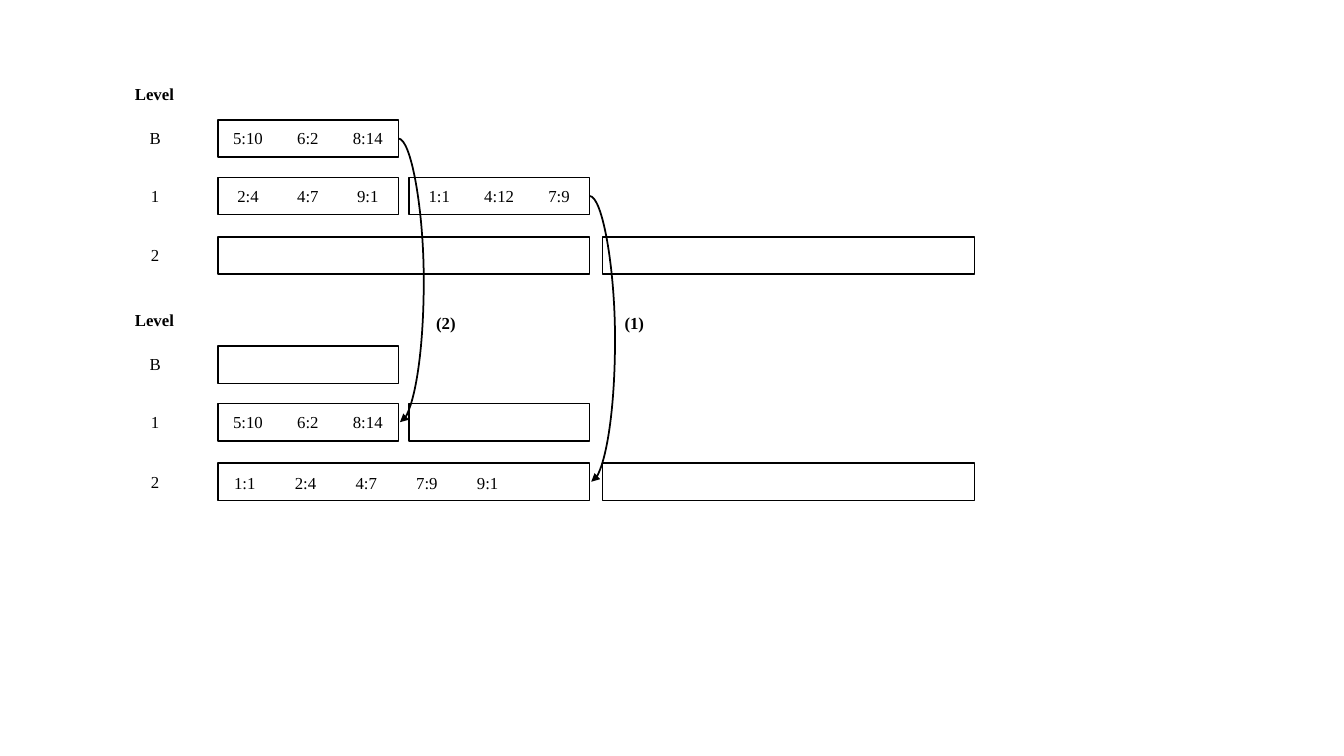
from lxml.etree import SubElement
from pptx import Presentation
from pptx.dml.color import RGBColor
from pptx.enum.shapes import MSO_CONNECTOR as Connector, MSO_SHAPE as Shape
from pptx.enum.text import MSO_AUTO_SIZE as AutoSize, PP_ALIGN as Align
from pptx.oxml.ns import qn
from pptx.util import Cm, Pt

FONT = "Times New Roman"
BLACK = "000000"
LEVELS = ("B", "1", "2")
LEVEL_OFFSETS = (1.04, 2.49, 3.99)
BEFORE_TOP, AFTER_TOP = 1.98, 7.68
LABEL_LEFT, LABEL_WIDTH, LABEL_HEIGHT = 3.15, 1.52, 0.77
RUN_LEFT, RUN_HEIGHT = 5.49, 0.94
SMALL_WIDTH, LARGE_WIDTH = 4.55, 9.37
SECOND_SMALL_LEFT, SECOND_LARGE_LEFT = 10.31, 15.19
TEXT_INSET = 0.08
ARROW_SPAN, ARROW_BULGE = 0.04, 0.64


def color(hex_code):
    """Turn a hex string into a colour."""
    return RGBColor.from_string(hex_code)


def add_label(shapes, left, top, text, width=LABEL_WIDTH, heading=False):
    """Add a centred label, or a bold left-aligned heading."""
    label = shapes.add_textbox(Cm(left), Cm(top), Cm(width), Cm(LABEL_HEIGHT))
    frame = label.text_frame
    frame.word_wrap = not heading
    frame.auto_size = AutoSize.SHAPE_TO_FIT_TEXT
    paragraph = frame.paragraphs[0]
    paragraph.text = text
    paragraph.alignment = Align.LEFT if heading else Align.CENTER
    font = paragraph.font
    font.name, font.size, font.bold = FONT, Pt(12), heading
    font.color.rgb = color(BLACK)


def add_run_box(shapes, left, top, width):
    """Add the empty outlined box of one sorted run."""
    box = shapes.add_shape(Shape.RECTANGLE, Cm(left), Cm(top), Cm(width), Cm(RUN_HEIGHT))
    box.shadow.inherit = False
    box.fill.background()
    box.line.color.rgb = color(BLACK)
    box.line.width = Pt(1)


def add_entries(shapes, left, top, entries, pitch=1.51):
    """Add evenly spaced key:value entries as one group."""
    group = shapes.add_group_shape()
    for position, entry in enumerate(entries):
        add_label(group.shapes, left + position * pitch, top + TEXT_INSET, entry)


def add_state(shapes, top):
    """Add the heading, level names and run boxes of one tree state."""
    add_label(shapes, LABEL_LEFT, top, "Level", heading=True)
    buffer_top, first_top, second_top = level_tops = [top + offset for offset in LEVEL_OFFSETS]
    for level, level_top in zip(LEVELS, level_tops):
        add_label(shapes, LABEL_LEFT, level_top + TEXT_INSET, level)
    for left, box_top, width in (
        (RUN_LEFT, buffer_top, SMALL_WIDTH),
        (RUN_LEFT, first_top, SMALL_WIDTH),
        (SECOND_SMALL_LEFT, first_top, SMALL_WIDTH),
        (RUN_LEFT, second_top, LARGE_WIDTH),
        (SECOND_LARGE_LEFT, second_top, LARGE_WIDTH),
    ):
        add_run_box(shapes, left, box_top, width)
    return level_tops


def add_merge_arrow(shapes, left, from_top, to_top):
    """Add a curved arrow between the right sides of two runs."""
    middle = RUN_HEIGHT / 2
    arrow = shapes.add_connector(
        Connector.CURVE, Cm(left), Cm(from_top + middle), Cm(left + ARROW_SPAN), Cm(to_top + middle)
    )
    arrow.line.color.rgb = color(BLACK)
    arrow.line.width = Pt(1.25)
    properties = arrow._element.spPr
    bulge = round(ARROW_BULGE / ARROW_SPAN * 100000)
    guides = properties.find(qn("a:prstGeom")).get_or_add_avLst()
    SubElement(guides, qn("a:gd"), name="adj1", fmla=f"val {bulge}")
    SubElement(properties.find(qn("a:ln")), qn("a:tailEnd"), type="triangle")
    SubElement(properties, qn("a:effectLst"))


def main():
    """Build the slide showing runs merged down the levels."""
    deck = Presentation()
    deck.slide_width, deck.slide_height = Cm(33.87), Cm(19.05)
    shapes = deck.slides.add_slide(deck.slide_layouts[6]).shapes

    buffer_before, first_before, _ = add_state(shapes, BEFORE_TOP)
    _, first_after, second_after = add_state(shapes, AFTER_TOP)

    buffered = ("5:10", "6:2", "8:14")
    add_entries(shapes, RUN_LEFT, buffer_before, buffered)
    add_entries(shapes, RUN_LEFT, first_before, ("2:4", "4:7", "9:1"))
    add_entries(shapes, SECOND_SMALL_LEFT, first_before, ("1:1", "4:12", "7:9"))
    add_entries(shapes, RUN_LEFT, first_after, buffered)
    merged = ("1:1", "2:4", "4:7", "7:9", "9:1")
    add_entries(shapes, 5.41, second_after + 0.03, merged, pitch=1.53)

    add_merge_arrow(shapes, RUN_LEFT + LARGE_WIDTH, first_before, second_after)
    add_merge_arrow(shapes, RUN_LEFT + SMALL_WIDTH, buffer_before, first_after)
    for left, step in ((15.49, "(1)"), (10.74, "(2)")):
        add_label(shapes, left, 7.75, step, width=1.02, heading=True)

    deck.save("out.pptx")


if __name__ == "__main__":
    main()
